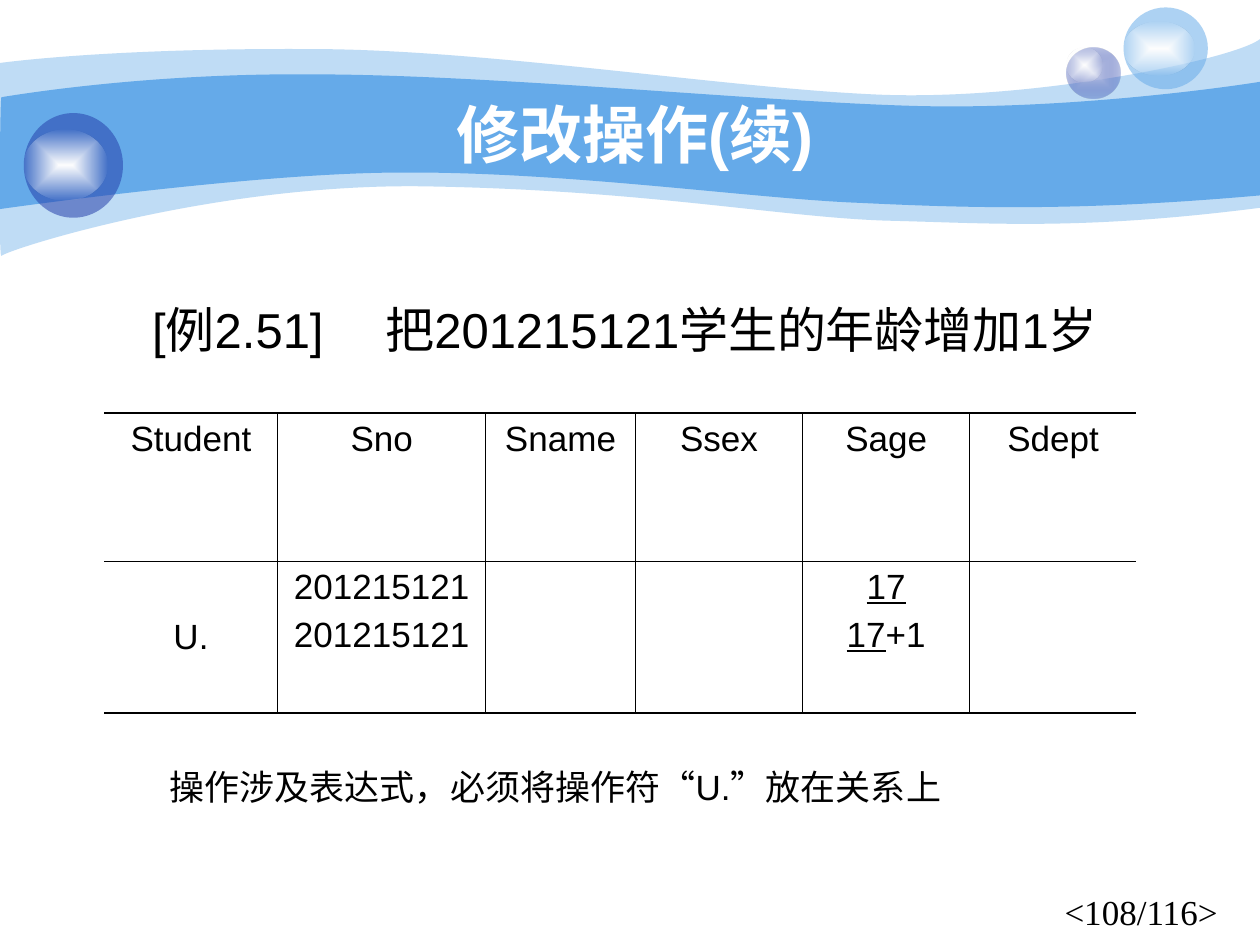
from dataclasses import dataclass

from pptx import Presentation
from pptx import util as u
from pptx.dml.color import RGBColor
from pptx.enum import shapes, text
from pptx.oxml import parse_xml
from pptx.oxml.ns import nsdecls, qn


@dataclass(frozen=True)
class Theme:
    sky: str = "65AAE9"
    navy: str = "233DA9"
    lavender: str = "C7CEE9"
    white: str = "FFFFFF"
    black: str = "000000"
    font: str = "Arial"
    number_font: str = "Times New Roman"
    title_size: int = 36
    example_size: int = 28
    text_size: int = 20
    thick: float = 1.08
    thin: float = 0.45


THEME = Theme()

# Each ribbon: start point, then cubic curves (three points) and lines (one point), in cm
OUTER_RIBBON = (
    (0, 1.27),
    [
        [(0.61, 1.19), (2.72, 0.97), (6.27, 0.99)],
        [(9.8, 0.99), (14.61, 1.78), (17.75, 1.91)],
        [(20.88, 2.03), (24.89, 1.19), (25.4, 0.79)],
        [(25.4, 4.19)],
        [(21.79, 4.65), (19.99, 4.5), (17.91, 4.45)],
        [(15.8, 4.39), (13.08, 3.84), (8.71, 3.76)],
        [(4.37, 3.66), (0.1, 5.05), (0.03, 5.16)],
        [(-0.03, 5.28), (0, 1.91), (0, 1.27)],
    ],
)
INNER_RIBBON = (
    (0.03, 1.96),
    [
        [(0.05, 1.96), (2.79, 1.47), (6.3, 1.5)],
        [(9.8, 1.5), (15.11, 2.03), (18.24, 2.13)],
        [(21.36, 2.24), (24.79, 1.75), (25.4, 1.65)],
        [(25.4, 3.94)],
        [(21.67, 4.27), (19.43, 4.19), (17.32, 4.09)],
        [(15.21, 4.01), (11.35, 3.45), (8.05, 3.48)],
        [(5.16, 3.48), (-0.05, 4.22), (-0.03, 4.22)],
        [(0, 4.22), (0, 1.96), (0.03, 1.96)],
    ],
)

COLUMN_WIDTHS = (3.5, 4.19, 3.02, 3.37, 3.37, 3.36)
ROW_HEIGHTS = (2.99, 3.05)
TABLE_ROWS = (
    (["Student"], ["Sno"], ["Sname"], ["Ssex"], ["Sage"], ["Sdept"]),
    (["U."], ["201215121", "201215121"], [], [], ["17", "17+1"], []),
)


def write(frame, lines, *, size, color=THEME.black, font=THEME.font, bold=False,
          align=text.PP_ALIGN.LEFT, gap=0, underlined="", tab=None):
    """Fill a text frame; `underlined` is the prefix to underline in each line."""
    for index, line in enumerate(lines):
        paragraph = frame.paragraphs[0] if index == 0 else frame.add_paragraph()
        paragraph.alignment = align
        if index:
            paragraph.space_before = u.Pt(gap)
        if tab:
            paragraph._p.get_or_add_pPr().append(parse_xml(
                f'<a:tabLst {nsdecls("a")}><a:tab pos="{u.Cm(tab)}" algn="l"/></a:tabLst>'))
        for part, underline in ((underlined, True), (line.removeprefix(underlined), False)):
            if part:
                run = paragraph.add_run()
                run.text = part
                run.font.size = u.Pt(size)
                run.font.name = font
                run.font.bold = bold
                run.font.underline = underline
                run.font.color.rgb = RGBColor.from_string(color)


def add_text(slide, box, line, anchor=text.MSO_ANCHOR.MIDDLE, **style):
    frame = slide.shapes.add_textbox(*map(u.Cm, box)).text_frame
    frame.word_wrap = True
    frame.vertical_anchor = anchor
    write(frame, [line], **style)


def paint(shape, color, alpha=100):
    shape.shadow.inherit = False
    shape.line.fill.background()
    shape.fill.solid()
    shape.fill.fore_color.rgb = RGBColor.from_string(color)
    if alpha < 100:
        shape._element.spPr.find(qn("a:solidFill"))[0].append(
            parse_xml(f'<a:alpha {nsdecls("a")} val="{alpha * 1000}"/>'))


def paint_glow(shape, center, edge, edge_alpha):
    """Fill with a gradient running from the middle outwards."""
    paint(shape, center)
    properties = shape._element.spPr
    properties.replace(properties.find(qn("a:solidFill")), parse_xml(
        f'<a:gradFill {nsdecls("a")} rotWithShape="1"><a:gsLst>'
        f'<a:gs pos="0"><a:srgbClr val="{center}"/></a:gs>'
        f'<a:gs pos="100000"><a:srgbClr val="{edge}">'
        f'<a:alpha val="{edge_alpha * 1000}"/></a:srgbClr></a:gs></a:gsLst>'
        '<a:path path="rect"><a:fillToRect l="50000" t="50000" r="50000" b="50000"/></a:path>'
        '</a:gradFill>'))


def bend(shape, segments):
    """Turn each run of three line steps that belongs to a curve into a cubic Bezier."""
    outline = next(shape._element.iter(qn("a:path")))
    steps = iter(outline.findall(qn("a:lnTo")))
    for segment in segments:
        lines = [next(steps) for _ in segment]
        if len(lines) == 3:
            curve = parse_xml(f'<a:cubicBezTo {nsdecls("a")}/>')
            lines[0].addprevious(curve)
            for line in lines:
                curve.append(line[0])
                outline.remove(line)


def add_ribbon(slide, outline, alpha=100):
    start, segments = outline
    builder = slide.shapes.build_freeform(*map(u.Cm, start))
    builder.add_line_segments(
        [tuple(map(u.Cm, point)) for segment in segments for point in segment], close=True)
    ribbon = builder.convert_to_shape()
    bend(ribbon, segments)
    paint(ribbon, THEME.sky, alpha)


def add_ellipse(slide, box):
    return slide.shapes.add_shape(shapes.MSO_SHAPE.OVAL, *map(u.Cm, box))


def add_highlight(slide, box):
    paint_glow(add_ellipse(slide, box), THEME.white, THEME.white, 0)


def add_bubbles(slide):
    paint_glow(add_ellipse(slide, (21.51, 0.97, 1.07, 1.02)), THEME.lavender, THEME.navy, 31)
    add_highlight(slide, (21.51, 0.97, 0.71, 0.69))
    paint(add_ellipse(slide, (22.65, 0.15, 1.7, 1.65)), THEME.sky, 53)
    add_highlight(slide, (22.65, 0.43, 1.42, 1.09))
    paint(add_ellipse(slide, (0.48, 2.28, 2, 2.11)), THEME.navy, 53)
    add_highlight(slide, (0.48, 2.62, 1.68, 1.42))


def set_borders(cell, **widths):
    """Set the L, R, T and B borders in points; zero hides one."""
    for side in "LRTB":
        width = widths[side]
        fill = (f'<a:solidFill><a:srgbClr val="{THEME.black}"/></a:solidFill>'
                if width else "<a:noFill/>")
        cell._tc.get_or_add_tcPr().append(parse_xml(
            f'<a:ln{side} {nsdecls("a")} w="{u.Pt(width)}">{fill}</a:ln{side}>'))


def add_student_table(slide):
    last_row, last_column = len(ROW_HEIGHTS) - 1, len(COLUMN_WIDTHS) - 1
    table = slide.shapes.add_table(
        len(ROW_HEIGHTS), len(COLUMN_WIDTHS), u.Cm(2.1), u.Cm(8.33),
        u.Cm(sum(COLUMN_WIDTHS)), u.Cm(sum(ROW_HEIGHTS))).table
    table.first_row = table.horz_banding = False
    for column, width in zip(table.columns, COLUMN_WIDTHS):
        column.width = u.Cm(width)
    for r, (height, row) in enumerate(zip(ROW_HEIGHTS, TABLE_ROWS)):
        table.rows[r].height = u.Cm(height)
        for c, lines in enumerate(row):
            cell = table.cell(r, c)
            set_borders(cell,
                        L=THEME.thin if c else 0,
                        R=THEME.thin if c < last_column else 0,
                        T=THEME.thin if r else THEME.thick,
                        B=THEME.thin if r < last_row else THEME.thick)
            cell.fill.background()
            write(cell.text_frame, lines, size=THEME.text_size, gap=5,
                  align=text.PP_ALIGN.CENTER,
                  underlined="17" if lines and lines[0] == "17" else "")
    table.cell(1, 0).vertical_anchor = text.MSO_ANCHOR.MIDDLE


def main():
    presentation = Presentation()
    presentation.slide_width, presentation.slide_height = u.Cm(25.4), u.Cm(19.05)
    slide = presentation.slides.add_slide(presentation.slide_layouts[6])
    add_ribbon(slide, OUTER_RIBBON, alpha=41)
    add_ribbon(slide, INNER_RIBBON)
    add_bubbles(slide)
    add_text(slide, (21.21, 17.82, 3.89, 1.1), "<108/116>", text.MSO_ANCHOR.TOP,
             size=THEME.text_size, font=THEME.number_font)
    add_text(slide, (2.55, 1.9, 20.52, 1.57), "修改操作(续)", size=THEME.title_size,
             color=THEME.white, bold=True, align=text.PP_ALIGN.CENTER)
    add_text(slide, (2.82, 5.63, 21.5, 2), "[例2.51]\t把201215121学生的年龄增加1岁",
             size=THEME.example_size, tab=4.7)
    add_student_table(slide)
    add_text(slide, (3.17, 15.25, 18, 1.2), "操作涉及表达式，必须将操作符“U.”放在关系上",
             size=THEME.text_size)
    presentation.save("out.pptx")


if __name__ == "__main__":
    main()
